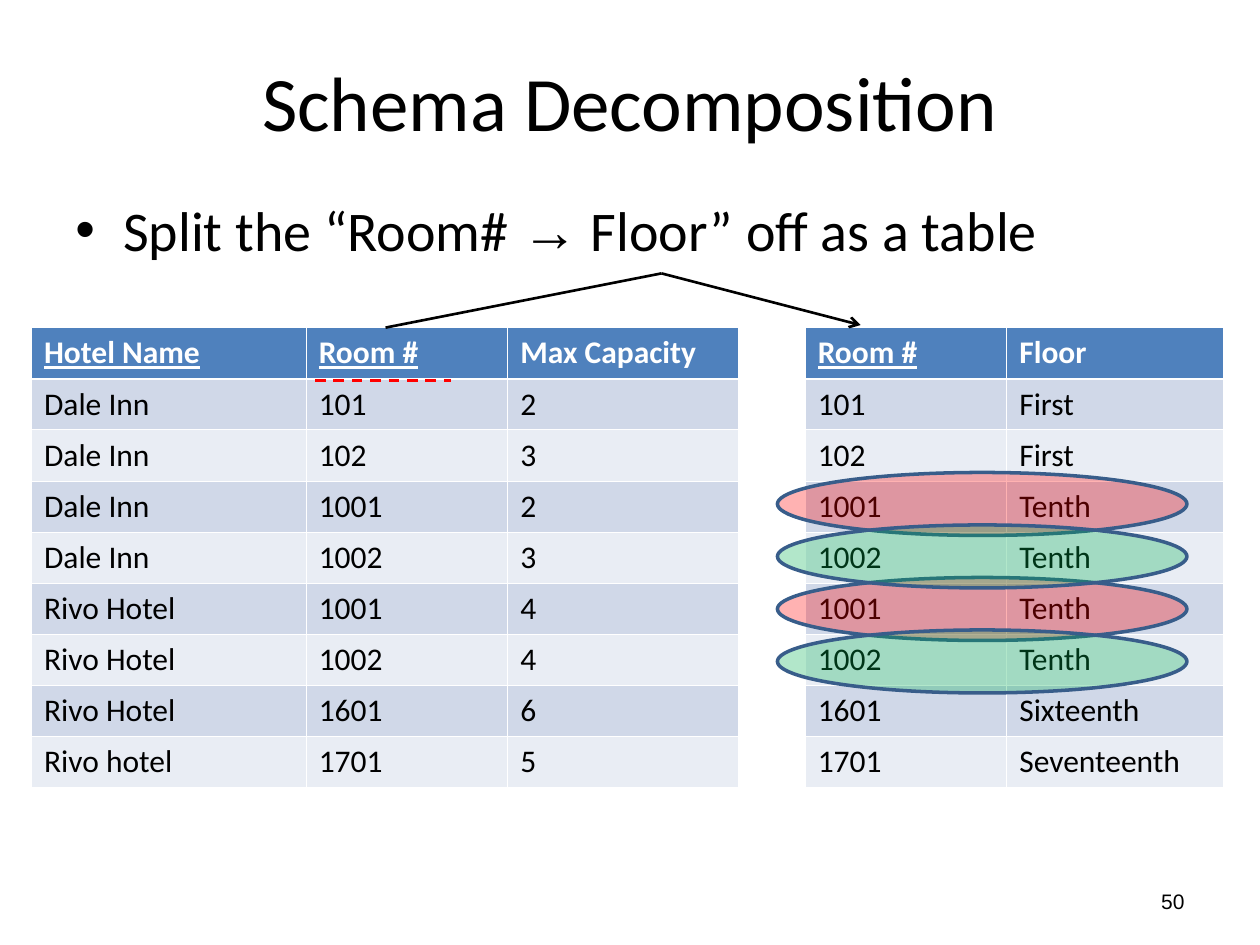
from lxml import etree
from pptx import Presentation
from pptx.dml.color import RGBColor
from pptx.enum.dml import MSO_LINE
from pptx.enum.shapes import MSO_CONNECTOR, MSO_SHAPE
from pptx.enum.text import MSO_ANCHOR, PP_ALIGN
from pptx.oxml.ns import qn
from pptx.util import Inches, Pt

BLACK = RGBColor(0, 0, 0)
WHITE = RGBColor(255, 255, 255)
RED = RGBColor(255, 0, 0)
GREEN = RGBColor(0, 0xB0, 0x50)
HEADER_BLUE = RGBColor(0x4F, 0x81, 0xBD)
OUTLINE_BLUE = RGBColor(0x38, 0x5D, 0x8A)
BANDS = [RGBColor(0xE9, 0xED, 0xF4), RGBColor(0xD0, 0xD8, 0xE8)]

TITLE = "Schema Decomposition"
BULLET_RUNS = [("Split the “Room# ", "Calibri"), ("→", "Arial"),
               (" Floor” off as a table", "Calibri")]
PAGE_NUMBER = "50"

KEYS = {"Hotel Name", "Room #"}
ROOMS = [
    ("Hotel Name", "Room #", "Max Capacity"),
    ("Dale Inn", "101", "2"),
    ("Dale Inn", "102", "3"),
    ("Dale Inn", "1001", "2"),
    ("Dale Inn", "1002", "3"),
    ("Rivo Hotel", "1001", "4"),
    ("Rivo Hotel", "1002", "4"),
    ("Rivo Hotel", "1601", "6"),
    ("Rivo hotel", "1701", "5"),
]
FLOORS = [
    ("Room #", "Floor"),
    ("101", "First"),
    ("102", "First"),
    ("1001", "Tenth"),
    ("1002", "Tenth"),
    ("1001", "Tenth"),
    ("1002", "Tenth"),
    ("1601", "Sixteenth"),
    ("1701", "Seventeenth"),
]
# left edge, column widths, rows
TABLES = [(0.25, [2.18, 1.6, 1.83], ROOMS), (6.39, [1.6, 1.72], FLOORS)]
TABLE_TOP, TABLE_HEIGHT = 2.6, 3.65

# Matching duplicates share a colour: (colour, position in the stack)
DUPLICATES = [(RED, 0), (RED, 2), (GREEN, 1), (GREEN, 3)]
STACK_TOP, STACK_STEP = 3.75, 1.25 / 3

# start, end, colour, dashed, arrowhead
LINES = [
    ((2.5, 3.02), (3.58, 3.02), RED, True, False),
    ((3.06, 2.6), (5.25, 2.17), BLACK, False, False),
    ((5.25, 2.17), (6.83, 2.58), BLACK, False, True),
]


def style(font, size, name="Calibri", color=BLACK, **formats):
    for key, value in dict(size=Pt(size), name=name, **formats).items():
        setattr(font, key, value)
    font.color.rgb = color


def add_text(slide, box, runs, size, align=PP_ALIGN.LEFT, anchor=MSO_ANCHOR.MIDDLE):
    frame = slide.shapes.add_textbox(*map(Inches, box)).text_frame
    frame.word_wrap = True
    frame.vertical_anchor = anchor
    paragraph = frame.paragraphs[0]
    paragraph.alignment = align
    for text, name in runs:
        run = paragraph.add_run()
        run.text = text
        style(run.font, size, name)
    return paragraph


def add_bullet(paragraph, indent):
    properties = paragraph._p.get_or_add_pPr()
    properties.set("marL", str(Inches(indent)))
    properties.set("indent", str(-Inches(indent)))
    etree.SubElement(properties, qn("a:buFont"), typeface="Arial")
    etree.SubElement(properties, qn("a:buChar"), char="•")


def set_borders(cell, widths):
    """Draw white borders; widths maps the sides L, R, T, B to points."""
    properties = cell._tc.get_or_add_tcPr()
    for side in "LRTB":
        border = etree.SubElement(properties, qn("a:ln" + side), w=str(Pt(widths[side])))
        fill = etree.SubElement(border, qn("a:solidFill"))
        etree.SubElement(fill, qn("a:srgbClr"), val=str(WHITE))


def add_grid(slide, left, widths, rows):
    table = slide.shapes.add_table(
        len(rows), len(widths), Inches(left), Inches(TABLE_TOP),
        Inches(sum(widths)), Inches(TABLE_HEIGHT)).table
    for column, width in zip(table.columns, widths):
        column.width = Inches(width)
    for r, row in enumerate(rows):
        header = r == 0
        for c, text in enumerate(row):
            cell = table.cell(r, c)
            set_borders(cell, {"L": 0.45, "R": 0.45,
                               "T": 1.47 if r == 1 else 0.45,
                               "B": 1.47 if header else 0.45})
            cell.fill.solid()
            cell.fill.fore_color.rgb = HEADER_BLUE if header else BANDS[r % 2]
            run = cell.text_frame.paragraphs[0].add_run()
            run.text = text
            style(run.font, 18, color=WHITE if header else BLACK,
                  bold=header, underline=header and text in KEYS)


def add_highlight(slide, color, position):
    top = STACK_TOP + position * STACK_STEP
    ellipse = slide.shapes.add_shape(
        MSO_SHAPE.OVAL, Inches(6.17), Inches(top), Inches(3.25), Inches(0.5))
    ellipse.shadow.inherit = False
    ellipse.fill.solid()
    ellipse.fill.fore_color.rgb = color
    color_element = ellipse._element.spPr.find(qn("a:solidFill"))[0]
    etree.SubElement(color_element, qn("a:alpha"), val="30000")
    ellipse.line.color.rgb = OUTLINE_BLUE
    ellipse.line.width = Pt(2)


def add_line(slide, start, end, color, dashed, arrow):
    connector = slide.shapes.add_connector(
        MSO_CONNECTOR.STRAIGHT, *map(Inches, start + end))
    line = connector.line
    line.color.rgb = color
    line.width = Pt(1.5)
    if dashed:
        line.dash_style = MSO_LINE.DASH
    if arrow:
        etree.SubElement(line._get_or_add_ln(), qn("a:tailEnd"), type="arrow")
    etree.SubElement(connector._element.spPr, qn("a:effectLst"))


def main():
    prs = Presentation()
    prs.slide_width, prs.slide_height = Inches(10), Inches(7.5)
    slide = prs.slides.add_slide(prs.slide_layouts[6])

    add_text(slide, (0.5, 0.17, 9, 1.25), [(TITLE, "Calibri")], 44, PP_ALIGN.CENTER)
    bullet = add_text(slide, (0.5, 1.5, 9, 4.95), BULLET_RUNS, 32, anchor=MSO_ANCHOR.TOP)
    add_bullet(bullet, 0.38)
    add_text(slide, (7.17, 6.95, 2.33, 0.4), [(PAGE_NUMBER, "Arial")], 12, PP_ALIGN.RIGHT)

    for left, widths, rows in TABLES:
        add_grid(slide, left, widths, rows)
    for color, position in DUPLICATES:
        add_highlight(slide, color, position)
    for line in LINES:
        add_line(slide, *line)

    prs.save("out.pptx")


if __name__ == "__main__":
    main()
